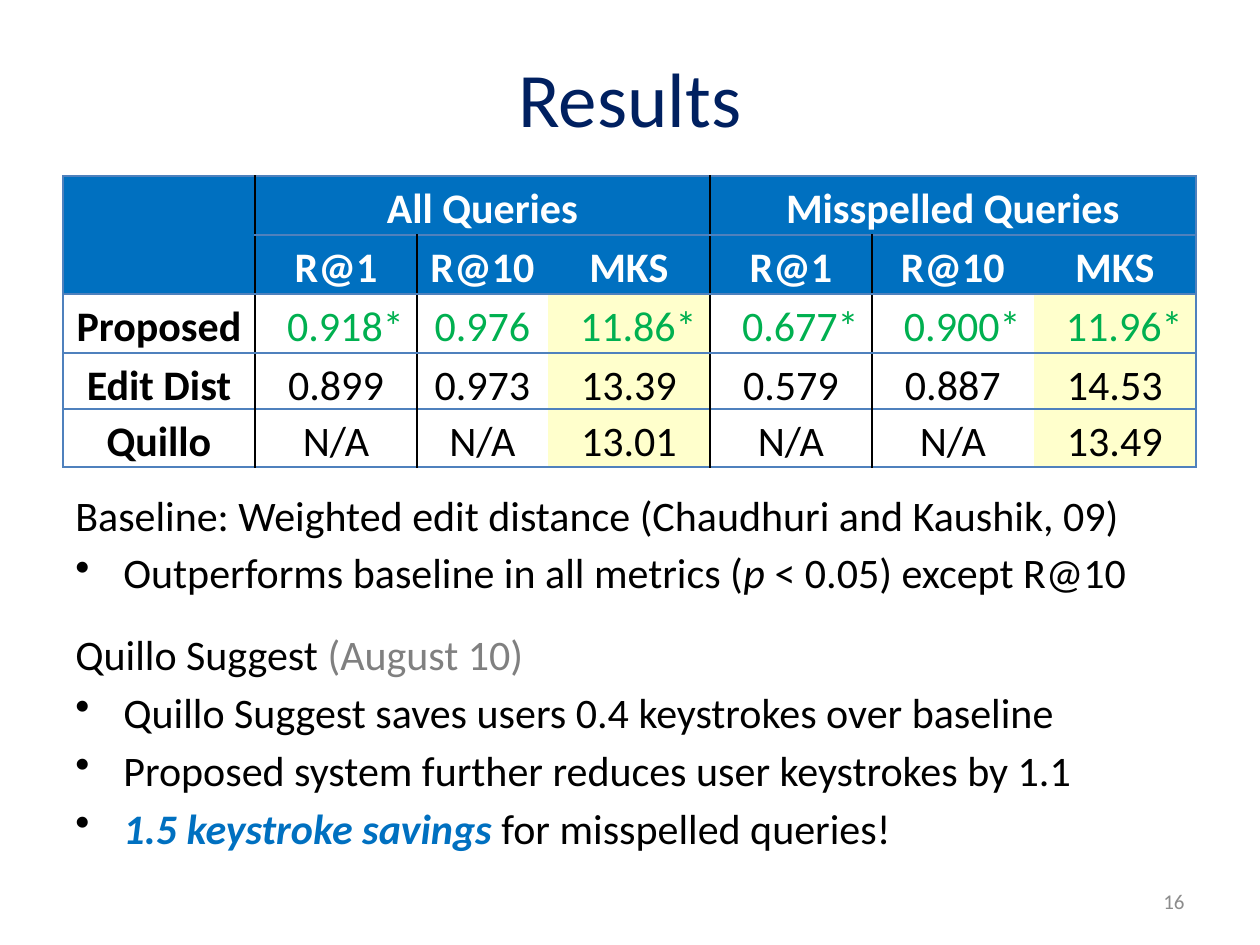
from dataclasses import dataclass

from lxml import etree
from pptx import Presentation
from pptx.dml.color import RGBColor
from pptx.enum.text import MSO_ANCHOR, PP_ALIGN
from pptx.oxml.ns import qn
from pptx.util import Pt

LEFT, MID, RIGHT = PP_ALIGN.LEFT, PP_ALIGN.CENTER, PP_ALIGN.RIGHT
TOP, CENTER = MSO_ANCHOR.TOP, MSO_ANCHOR.MIDDLE
SCALE = 914400 / 126  # EMU in one px


@dataclass(frozen=True)
class Theme:
    font: str = "Calibri"
    title: int = 44
    body: int = 24
    small: int = 12
    navy: str = "002060"
    blue: str = "0070C0"
    rule: str = "4F81BD"
    green: str = "00B050"
    cream: str = "FFFFCC"
    black: str = "000000"
    white: str = "FFFFFF"
    gray: str = "808080"
    pale: str = "8C8C8C"


THEME = Theme()
COLS = [192, 162, 131, 162, 162, 162, 162]
ROW = 58
SHADED = (3, 6)
# Colour of each vertical line, left to right; None leaves a gap
EDGES = [THEME.rule, THEME.black, THEME.black, None,
         THEME.black, THEME.black, None, THEME.rule]
HEADS = ["R@1", "R@10", "MKS"]
SCORES = [
    ["", "All Queries", "", "", "Misspelled Queries", "", ""],
    [""] + HEADS * 2,
    ["Proposed", "0.918*", "0.976", "11.86*", "0.677*", "0.900*", "11.96*"],
    ["Edit Dist", "0.899", "0.973", "13.39", "0.579", "0.887", "14.53"],
]
ENGINE = [["Quillo", "N/A", "N/A", "13.01", "N/A", "N/A", "13.49"]]
MERGES = [(0, 0, 1, 0), (0, 1, 0, 3), (0, 4, 0, 6)]

# Each point: bullet or not, space before, runs of text and format
POINTS = [
    (False, 4.2, [("Baseline: Weighted edit distance (Chaudhuri and Kaushik, 09)", {})]),
    (True, 4.2, [("Outperforms baseline in all metrics (", {}),
                 ("p", {"italic": True}),
                 (" < 0.05) except R@10", {})]),
    (False, 18, [("Quillo Suggest ", {}), ("(August 10)", {"color": THEME.gray})]),
    (True, 4.2, [("Quillo Suggest saves users 0.4 keystrokes over baseline", {})]),
    (True, 4.2, [("Proposed system further reduces user keystrokes by 1.1", {})]),
    (True, 4.2, [("1.5 keystroke savings ",
                  {"color": THEME.blue, "bold": True, "italic": True}),
                 ("for misspelled queries!", {})]),
]


def px(n):
    return round(n * SCALE)


class Deck:
    def __init__(self, theme):
        self.theme = theme
        self.prs = Presentation()
        self.prs.slide_width, self.prs.slide_height = px(1260), px(945)
        self.slide = self.prs.slides.add_slide(self.prs.slide_layouts[6])

    def run(self, para, text, color=None, **form):
        run = para.add_run()
        run.text = text
        base = {"name": self.theme.font, "size": self.theme.body}
        for key, value in {**base, **form}.items():
            setattr(run.font, key, Pt(value) if key == "size" else value)
        run.font.color.rgb = RGBColor.from_string(color or self.theme.black)

    def box(self, place, anchor):
        frame = self.slide.shapes.add_textbox(*map(px, place)).text_frame
        frame.word_wrap = True
        frame.vertical_anchor = anchor
        return frame

    def label(self, place, text, align, **form):
        para = self.box(place, CENTER).paragraphs[0]
        para.alignment = align
        self.run(para, text, **form)

    def bullet(self, para):
        props = para._p.get_or_add_pPr()
        props.set("marL", str(px(48)))
        props.set("indent", str(-px(48)))
        tint = etree.SubElement(props, qn("a:buClr"))
        etree.SubElement(tint, qn("a:srgbClr"), val=self.theme.black)
        etree.SubElement(props, qn("a:buChar"), char="•")

    def points(self, place, items):
        frame = self.box(place, TOP)
        for i, (dot, gap, runs) in enumerate(items):
            para = frame.add_paragraph() if i else frame.paragraphs[0]
            para.alignment = LEFT
            para.space_before = Pt(gap)
            if dot:
                self.bullet(para)
            for text, form in runs:
                self.run(para, text, **form)

    def border(self, cell, colors):
        """Draw the four sides of a cell: left, right, top, bottom."""
        props = cell._tc.get_or_add_tcPr()
        for side, color in zip("LRTB", colors):
            line = etree.SubElement(props, qn("a:ln" + side), w=str(Pt(1)))
            if color:
                fill = etree.SubElement(line, qn("a:solidFill"))
                etree.SubElement(fill, qn("a:srgbClr"), val=color)
            else:
                etree.SubElement(line, qn("a:noFill"))

    def cell(self, cell, text, fill, color, bold):
        # A starred value sits to the right so that digits line up
        form = {"vertical_anchor": CENTER, "margin_top": 0, "margin_bottom": 0,
                "margin_left": px(27 if "*" in text else 8), "margin_right": px(8)}
        for key, value in form.items():
            setattr(cell, key, value)
        cell.fill.solid()
        cell.fill.fore_color.rgb = RGBColor.from_string(fill)
        para = cell.text_frame.paragraphs[0]
        para.alignment, para.line_spacing = MID, 1.15
        if text:
            self.run(para, text, color=color, bold=bold)

    def table(self, left, top, rows, heads=0, merges=()):
        t = self.theme
        size = (left, top, sum(COLS), ROW * len(rows))
        grid = self.slide.shapes.add_table(len(rows), len(COLS), *map(px, size)).table
        grid.first_row = grid.horz_banding = False
        for col, width in zip(grid.columns, COLS):
            col.width = px(width)
        for r1, c1, r2, c2 in merges:
            grid.cell(r1, c1).merge(grid.cell(r2, c2))
        for r, row in enumerate(rows):
            for c, text in enumerate(row):
                cell = grid.cell(r, c)
                if cell.is_spanned:
                    continue
                end = c + (cell.span_width if cell.is_merge_origin else 1)
                self.border(cell, (EDGES[c], EDGES[end], t.rule, t.rule))
                head = r < heads
                fill = t.blue if head else t.cream if c in SHADED else t.white
                best = row[0] == "Proposed" and c > 0
                color = t.white if head else t.green if best else t.black
                self.cell(cell, text, fill, color, head or c == 0)


def main():
    deck = Deck(THEME)
    deck.table(63, 176, SCORES, heads=2, merges=MERGES)
    deck.label((63, 38, 1134, 117), "Results", MID, size=THEME.title, color=THEME.navy)
    deck.label((903, 876, 294, 50), "16", RIGHT, size=THEME.small, color=THEME.pale)
    deck.points((63, 483, 1134, 362), POINTS)
    deck.table(63, 409, ENGINE)
    deck.prs.save("out.pptx")


if __name__ == "__main__":
    main()
